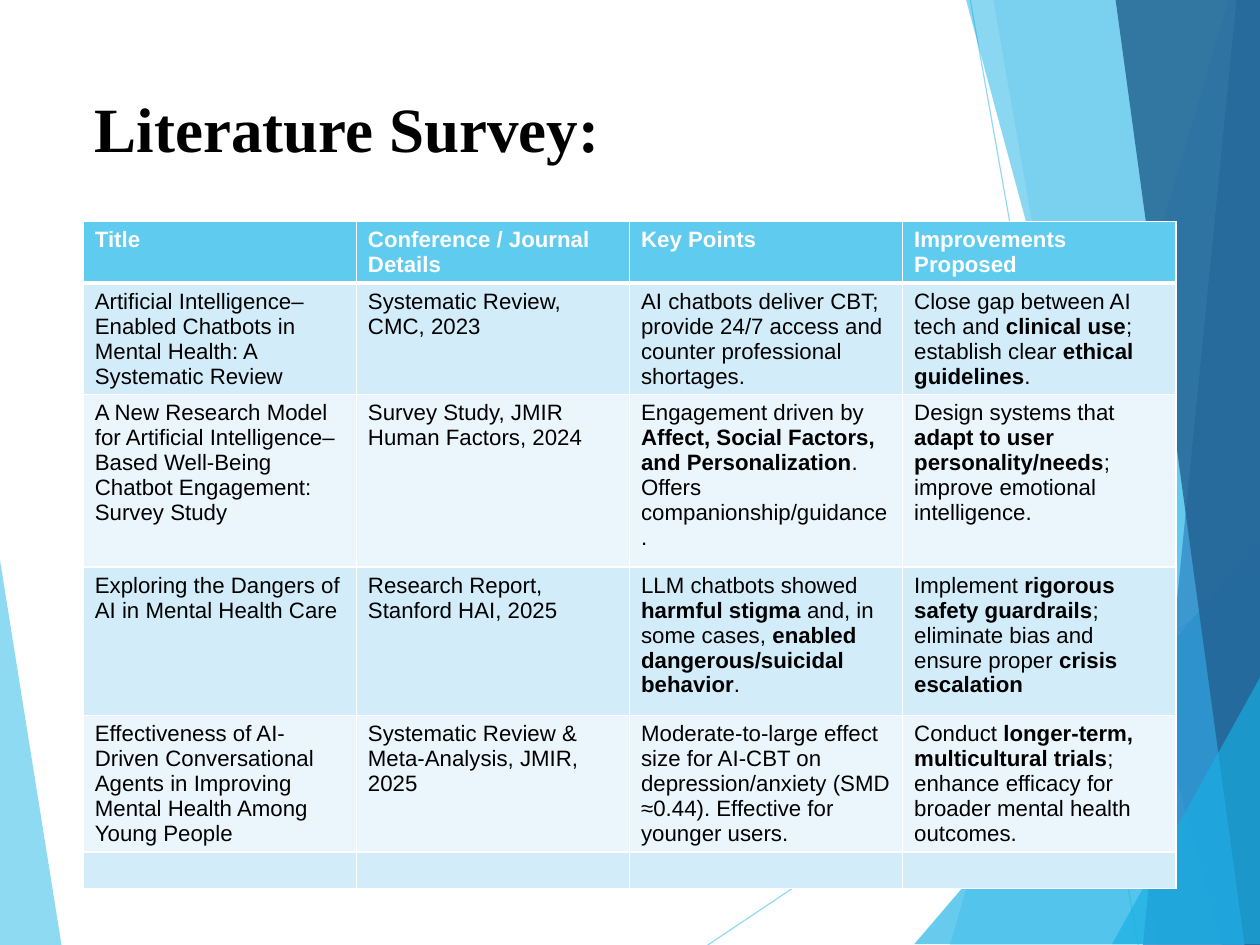
"""Build the literature survey slide with its table and faceted backdrop."""
from lxml import etree
from pptx import Presentation, util as u
from pptx.dml.color import RGBColor
from pptx.enum import shapes, text
from pptx.oxml.ns import qn

COLORS = {"sky": "5FCBEF", "cyan": "17B0E4", "blue": "2E83C3", "navy": "236292",
          "band": "D2ECF9", "pale": "EAF6FC", "white": "FFFFFF", "black": "000000"}
TITLE = "Literature Survey:"
ROWS = [
    ("Title", "Conference / Journal Details", "Key Points", "Improvements Proposed"),
    ("Artificial Intelligence–Enabled Chatbots in Mental Health: A Systematic Review",
     "Systematic Review, CMC, 2023",
     "AI chatbots deliver CBT; provide 24/7 access and counter professional shortages.",
     "Close gap between AI tech and **clinical use**; establish clear **ethical guidelines**."),
    ("A New Research Model for Artificial Intelligence–Based Well-Being Chatbot Engagement: Survey Study",
     "Survey Study, JMIR Human Factors, 2024",
     "Engagement driven by **Affect, Social Factors, and Personalization**. Offers companionship/guidance.",
     "Design systems that **adapt to user personality/needs**; improve emotional intelligence."),
    ("Exploring the Dangers of AI in Mental Health Care",
     "Research Report, Stanford HAI, 2025",
     "LLM chatbots showed **harmful stigma** and, in some cases, **enabled dangerous/suicidal behavior**.",
     "Implement **rigorous safety guardrails**; eliminate bias and ensure proper **crisis escalation**"),
    ("Effectiveness of AI-Driven Conversational Agents in Improving Mental Health Among Young People",
     "Systematic Review & Meta-Analysis, JMIR, 2025",
     "Moderate-to-large effect size for AI-CBT on depression/anxiety (SMD ≈0.44). Effective for younger users.",
     "Conduct **longer-term, multicultural trials**; enhance efficacy for broader mental health outcomes."),
    ("", "", "", ""),
]
ROW_HEIGHTS = [0.49, 0.9, 1.51, 1.3, 1.1, 0.29]
COL_WIDTH = 2.39
SLIDE_SIZE = {"slide_width": u.Pt(793.75), "slide_height": u.Pt(595.25)}
W, H, TOP = 11.03, 8.27, -0.01
LINES = [((6.19, H), (W, 5.03)), ((8.49, 0), (9.96, H))]
FACETS = [
    ("sky", 70, [(-0.01, 4.84), (0.54, 8.28), (-0.01, H)]),
    ("sky", 36, [(10.75, 0), (8.31, H), (11.04, 8.28), (W, 0.01)]),
    ("sky", 20, [(8.69, TOP), (10.13, H), (W, H), (W, TOP)]),
    ("cyan", 65, [(8, 8.26), (11.02, 4.73), (W, 8.26)]),
    ("cyan", 50, [(8.45, TOP), (10.69, H), (W, 8.26), (W, TOP)]),
    ("blue", 70, [(10.82, TOP), (10, H), (W, H), (W, TOP)]),
    ("navy", 82, [(9.76, TOP), (10.89, H), (11.04, H), (W, TOP)]),
    ("cyan", 65, [(9.73, 8.26), (11.04, 5.9), (11.04, 8.26)]),
]


def rgb(name):
    return RGBColor.from_string(COLORS[name])


def set_attrs(obj, values):
    for key, value in values.items():
        setattr(obj, key, value)


def paint(fill, name, opacity=100):
    fill.solid()
    fill.fore_color.rgb = rgb(name)
    if opacity < 100:
        clr = fill._xPr.find(".//" + qn("a:srgbClr"))
        etree.SubElement(clr, qn("a:alpha"), val=str(opacity * 1000))


def add_run(p, words, font, color):
    r = p.add_run()
    r.text = words
    set_attrs(r.font, font)
    r.font.color.rgb = rgb(color)


def add_backdrop(s):
    facets = iter(FACETS)
    add_facet(s, *next(facets))
    for start, end in LINES:
        cx = s.shapes.add_connector(shapes.MSO_CONNECTOR.STRAIGHT,
                                    *map(u.Inches, start + end))
        cx.line.width = u.Pt(0.75)
        paint(cx.line.fill, "sky", 70)
        etree.SubElement(cx._element.spPr, qn("a:effectLst"))
    for facet in facets:
        add_facet(s, *facet)


def add_facet(s, color, opacity, points):
    pts = [(u.Inches(x), u.Inches(y)) for x, y in points]
    fb = s.shapes.build_freeform(*pts[0])
    fb.add_line_segments(pts[1:], close=True)
    sp = fb.convert_to_shape()
    sp.shadow.inherit = False
    sp.line.fill.background()
    paint(sp.fill, color, opacity)


def add_title(s):
    sp = s.shapes.title
    s.shapes._spTree.append(sp._element)
    set_attrs(sp, {"left": u.Inches(0.73), "top": u.Inches(0.73),
                   "width": u.Inches(7.65), "height": u.Inches(1.59)})
    tf = sp.text_frame
    set_attrs(tf, {"vertical_anchor": text.MSO_ANCHOR.TOP, "word_wrap": True})
    p = tf.paragraphs[0]
    p.alignment = text.PP_ALIGN.LEFT
    add_run(p, TITLE, {"name": "Times New Roman", "size": u.Pt(39.7), "bold": True}, "black")


def add_borders(cell, header):
    tcPr = cell._tc.get_or_add_tcPr()
    for i, side in enumerate(("lnL", "lnR", "lnT", "lnB")):
        width = u.Pt(3 if header and side == "lnB" else 1)
        ln = etree.Element(qn("a:" + side), w=str(width))
        fill = etree.SubElement(ln, qn("a:solidFill"))
        etree.SubElement(fill, qn("a:srgbClr"), val=COLORS["white"])
        tcPr.insert(i, ln)


def fill_cell(cell, content, header, fill):
    paint(cell.fill, fill)
    add_borders(cell, header)
    p = cell.text_frame.paragraphs[0]
    for i, words in enumerate(content.split("**")):
        if words:
            add_run(p, words, {"name": "Arial", "size": u.Pt(14), "bold": header or i % 2 == 1},
                    "white" if header else "black")
    if not content:
        end = etree.SubElement(p._p, qn("a:endParaRPr"), sz="1400")
        etree.SubElement(end, qn("a:latin"), typeface="Arial")


def add_survey(s):
    cols = len(ROWS[0])
    frame = s.shapes.add_table(len(ROWS), cols, u.Inches(0.73), u.Inches(1.94),
                               u.Inches(COL_WIDTH * cols), u.Inches(sum(ROW_HEIGHTS)))
    table = frame.table
    for col in table.columns:
        col.width = u.Inches(COL_WIDTH)
    for i, (row, height) in enumerate(zip(ROWS, ROW_HEIGHTS)):
        table.rows[i].height = u.Inches(height)
        fill = "sky" if i == 0 else ("pale", "band")[i % 2]
        for j, content in enumerate(row):
            fill_cell(table.cell(i, j), content, i == 0, fill)


def main():
    prs = Presentation()
    set_attrs(prs, SLIDE_SIZE)
    s = prs.slides.add_slide(prs.slide_layouts[5])
    add_backdrop(s)
    add_title(s)
    add_survey(s)
    prs.save("out.pptx")


if __name__ == "__main__":
    main()
